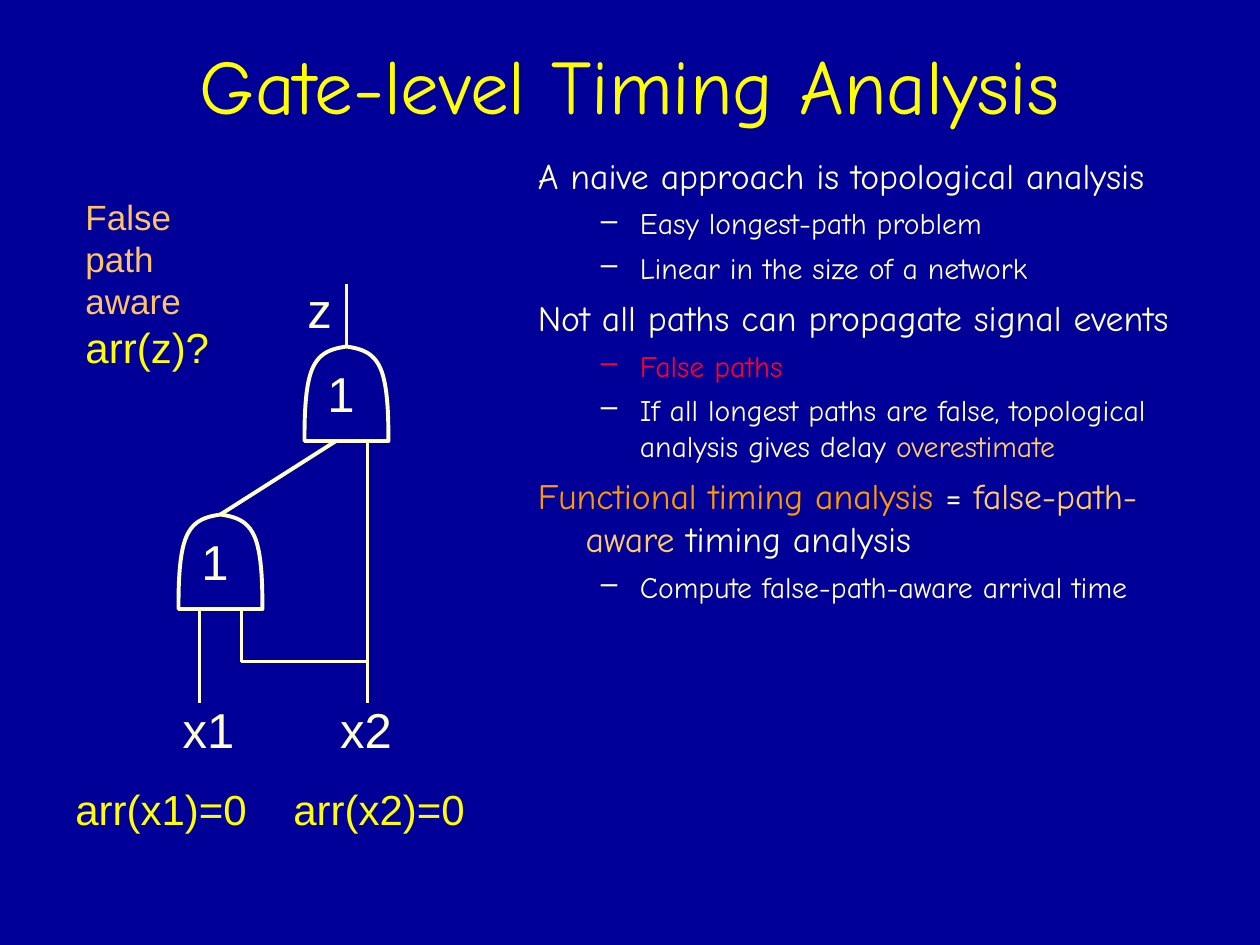
from lxml import etree
from pptx import Presentation
from pptx.dml.color import RGBColor
from pptx.enum.shapes import MSO_CONNECTOR
from pptx.enum.text import MSO_ANCHOR, MSO_AUTO_SIZE, PP_ALIGN
from pptx.oxml.ns import qn
from pptx.util import Inches, Pt

LINE = MSO_CONNECTOR.STRAIGHT
CENTER, LEFT = PP_ALIGN.CENTER, PP_ALIGN.LEFT
TOP, MIDDLE, BOTTOM = MSO_ANCHOR.TOP, MSO_ANCHOR.MIDDLE, MSO_ANCHOR.BOTTOM
FIXED = MSO_AUTO_SIZE.NONE

COLORS = {
    "back": "000099", "cream": "FFFFCC", "title": "FFFF00", "red": "FC0128",
    "gold": "FFCC66", "orange": "FF9900", "sand": "FDC365",
}
HAND, SANS = "Comic Neue", "Arial"
CELL = 1 / 12  # grid step of the circuit, in inches
WIRE = 2.25

# Outline levels: text size, left margin, first-line indent, space before
LEVELS = [(20.4, 0.38, -0.38, 6), (17, 0.81, -0.31, 5)]
POINTS = [
    (0, [("A naive approach is topological analysis", "cream")]),
    (1, [("Easy longest-path problem", "cream")]),
    (1, [("Linear in the size of a network", "cream")]),
    (0, [("Not all paths can propagate signal events", "cream")]),
    (1, [("False paths", "red")]),
    (1, [("If all longest paths are false, topological analysis gives delay ",
          "cream"), ("overestimate", "gold")]),
    (0, [("Functional timing analysis", "orange"), (" = ", "cream"),
         ("false-path-aware", "gold"), (" timing analysis", "cream")]),
    (1, [("Compute false-path-aware arrival time", "cream")]),
]

# Circuit, in grid columns and rows
GATES = [(17, 58), (29, 42)]  # left end of each base
WIRES = [
    (35, 42, 35, 67), (33, 33, 33, 27), (19, 58, 19, 67),
    (23, 58, 23, 63), (23, 63, 35, 63), (21, 49, 32, 42),
]
# Right half of a gate: two curves from the base to the top
CURVES = [
    [(8, 0), (8, -2.76), (7.9, -5.5), (7.2, -7)],
    [(7.2, -7), (6.5, -8.5), (5.3, -8.8), (4, -9)],
]
TAGS = [
    ("z", 2.34, 2.17, 0.39), ("x1", 1.35, 5.5, 0.61), ("x2", 2.6, 5.5, 0.61),
    ("1", 2.5, 2.83, 0.41), ("1", 1.5, 4.17, 0.41),
]


def tint(name):
    return RGBColor.from_string(COLORS[name])


def grid(n):
    return Inches(n * CELL)


def apply(item, values):
    for name, value in values.items():
        setattr(item, name, value)


def add_run(para, text, size, color, font):
    run = para.add_run()
    run.text = text
    apply(run.font, {"size": Pt(size), "name": font})
    run.font.color.rgb = tint(color)


def add_text(slide, box, lines, wrap=True, anchor=TOP, align=LEFT):
    shape = slide.shapes.add_textbox(*map(Inches, box))
    frame = shape.text_frame
    apply(frame, {"word_wrap": wrap, "vertical_anchor": anchor})
    for i, (text, size, color) in enumerate(lines):
        para = frame.add_paragraph() if i else frame.paragraphs[0]
        para.alignment = align
        add_run(para, text, size, color, SANS)
    return frame


def set_tab(para, pos):
    tabs = etree.SubElement(para._p.get_or_add_pPr(), qn("a:tabLst"))
    etree.SubElement(tabs, qn("a:tab"), pos=str(Inches(pos)), algn="l")


def add_title(slide, text):
    title = slide.shapes.title
    apply(title, {"left": Inches(0.75), "top": Inches(-0.17),
                  "width": Inches(8.5), "height": Inches(1.25)})
    frame = title.text_frame
    apply(frame, {"vertical_anchor": BOTTOM, "auto_size": FIXED})
    para = frame.paragraphs[0]
    para.alignment = CENTER
    add_run(para, text, 44, "title", HAND)


def add_points(slide):
    frame = slide.shapes.add_textbox(
        *map(Inches, (4.17, 1.17, 5.33, 4.73))).text_frame
    frame.word_wrap = True
    for i, (level, runs) in enumerate(POINTS):
        size, margin, indent, gap = LEVELS[level]
        para = frame.add_paragraph() if i else frame.paragraphs[0]
        apply(para, {"level": level, "space_before": Pt(gap)})
        props = para._p.get_or_add_pPr()
        props.set("marL", str(Inches(margin)))
        props.set("indent", str(Inches(indent)))
        if level:
            hue = etree.SubElement(props, qn("a:buClr"))
            etree.SubElement(hue, qn("a:srgbClr"), val=COLORS[runs[0][1]])
            etree.SubElement(props, qn("a:buChar"), char="–")
        for text, color in runs:
            add_run(para, text, size, color, HAND)


def add_wire(slide, ends):
    wire = slide.shapes.add_connector(LINE, *map(grid, ends))
    wire.line.color.rgb = tint("cream")
    wire.line.width = Pt(WIRE)
    etree.SubElement(wire._element.spPr, qn("a:effectLst"))


def bezier(curve, t):
    s = 1 - t
    shares = (s ** 3, 3 * s * s * t, 3 * s * t * t, t ** 3)
    return tuple(sum(k * p[axis] for k, p in zip(shares, curve))
                 for axis in (0, 1))


def add_gate(slide, left, base, steps=12):
    half = [bezier(c, i / steps) for c in CURVES for i in range(steps)]
    mirror = [(8 - x, y) for x, y in reversed(half)]
    dots = [(grid(left + x), grid(base + y))
            for x, y in half + [(4, -9)] + mirror]
    pen = slide.shapes.build_freeform(*dots[0])
    pen.add_line_segments(dots[1:], close=True)
    gate = pen.convert_to_shape()
    gate.shadow.inherit = False
    gate.fill.background()
    gate.line.color.rgb = tint("cream")
    gate.line.width = Pt(WIRE)


def main():
    deck = Presentation()
    apply(deck, {"slide_width": Inches(10), "slide_height": Inches(7.5)})
    slide = deck.slides.add_slide(deck.slide_layouts[5])
    slide.background.fill.solid()
    slide.background.fill.fore_color.rgb = tint("back")

    # Title and outline
    add_title(slide, "Gate-level Timing Analysis")
    add_points(slide)

    # Arrival times
    times = add_text(slide, (0.5, 6.17, 3.8, 0.5),
                     [("arr(x1)=0\tarr(x2)=0", 24, "title")])
    set_tab(times.paragraphs[0], 1.73)
    add_text(slide, (0.58, 1.5, 1.35, 1.5),
             [("False path aware", 20, "sand"), ("arr(z)?", 24, "title")])

    # Circuit
    for left, base in GATES:
        add_gate(slide, left, base)
    for ends in WIRES:
        add_wire(slide, ends)
    for text, left, top, width in TAGS:
        add_text(slide, (left, top, width, 0.57), [(text, 28, "cream")],
                 wrap=False, anchor=MIDDLE, align=CENTER)

    deck.save("out.pptx")


if __name__ == "__main__":
    main()
